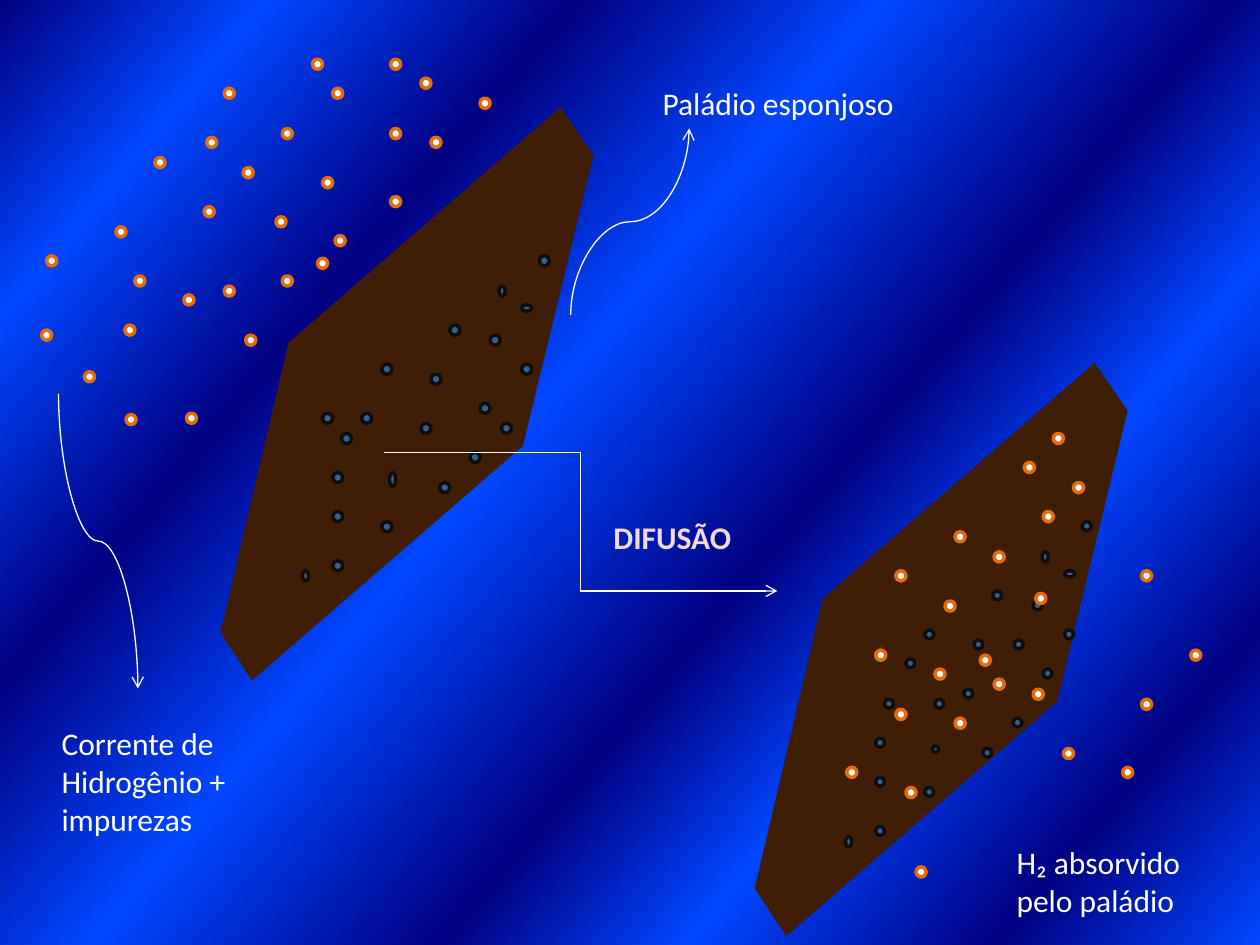
from pptx import Presentation
from pptx.dml.color import RGBColor
from pptx.enum.shapes import MSO_CONNECTOR, MSO_SHAPE
from pptx.oxml import parse_xml
from pptx.oxml.ns import nsdecls, qn
from pptx.util import Inches, Pt
from lxml.etree import SubElement


def rgb(code):
    return RGBColor.from_string(code)


def add_label(text, left, top, width, height, color="FFFFFF", bold=False):
    frame = slide.shapes.add_textbox(left * col, top * row, width * col, height * row).text_frame
    frame.word_wrap = True
    frame.text = text
    for paragraph in frame.paragraphs:
        font = paragraph.runs[0].font
        font.name, font.size, font.bold = "Calibri", Pt(18), bold
        font.color.rgb = rgb(color)


prs = Presentation()
prs.slide_width, prs.slide_height = Inches(10), Inches(7.5)
col, row = prs.slide_width // 1000, prs.slide_height // 750
slide = prs.slides.add_slide(prs.slide_layouts[6])

stops = "".join(
    f'<a:gs pos="{share * 1000}"><a:srgbClr val="{("000082", "0047FF")[i % 2]}"/></a:gs>'
    for i, share in enumerate([0, 13, 28, 43, 60, 72, 87, 100])
)
slide.element.cSld.insert(0, parse_xml(
    f'<p:bg {nsdecls("p", "a")}><p:bgPr><a:gradFill rotWithShape="1"><a:gsLst>{stops}</a:gsLst>'
    '<a:lin ang="2400000" scaled="0"/></a:gradFill><a:effectLst/></p:bgPr></p:bg>'
))

slab_outline = [(445, 85), (471, 123), (415, 354), (200, 540), (175, 502), (229, 272)]

shared_pores = [
    (342, 297, 8, 8), (389, 266, 8, 8), (414, 242, 8, 5), (303, 289, 8, 8), (357, 258, 8, 8),
    (396, 227, 5, 8), (428, 203, 8, 8), (334, 336, 8, 8), (303, 414, 8, 8), (240, 453, 5, 8),
    (414, 289, 8, 8), (264, 375, 8, 8), (349, 383, 8, 8), (373, 359, 8, 8), (264, 445, 8, 8),
    (264, 406, 8, 8), (271, 344, 8, 8),
]
stream_pores = [(256, 328, 8, 8), (287, 328, 8, 8), (309, 375, 5, 11), (381, 320, 8, 8), (398, 336, 8, 8)]
absorbed_pores = [(719, 523, 7, 7), (742, 555, 7, 7), (740, 592, 5, 5), (805, 508, 7, 7), (828, 531, 7, 7)]

stream_hydrogen = [
    (99, 258), (342, 109), (148, 328), (193, 133), (178, 227), (178, 70), (310, 156), (310, 47),
    (92, 180), (256, 141), (219, 172), (33, 262), (264, 70), (310, 102), (224, 102), (37, 203),
    (162, 164), (67, 295), (224, 219), (107, 219), (248, 47), (266, 187), (334, 62), (100, 329),
    (146, 234), (195, 266), (164, 109), (123, 125), (381, 78), (252, 205),
]
absorbed_hydrogen = [
    (945, 516), (727, 688), (906, 555), (906, 453), (891, 609), (844, 594),
    (711, 563), (711, 453), (789, 438), (852, 383), (789, 539), (758, 570), (822, 471), (828, 406),
    (750, 477), (758, 422), (813, 367), (836, 344), (695, 516), (672, 609), (778, 520), (820, 547),
    (742, 531), (719, 625),
]

stages = [
    ((0, 0), (0, 0), 8, stream_pores, stream_hydrogen),
    ((424, 203), (431, 211), 7, absorbed_pores, absorbed_hydrogen),
]
for (slab_x, slab_y), (pore_x, pore_y), pore_size, own_pores, hydrogen in stages:
    corners = [((x + slab_x) * col, (y + slab_y) * row) for x, y in slab_outline]
    builder = slide.shapes.build_freeform(*corners[0])
    builder.add_line_segments(corners[1:])
    slab = builder.convert_to_shape()
    slab.shadow.inherit = False
    slab.fill.solid()
    slab.fill.fore_color.rgb = rgb("3F1E05")
    slab.line.fill.background()

    pores = [
        (x + pore_x, y + pore_y, pore_size if w == h else w, pore_size if w == h else h)
        for x, y, w, h in shared_pores
    ] + own_pores
    particles = [(*pore, "376092", "0D0D0D") for pore in pores]
    particles += [(x, y, 8, 8, "FFFFFF", "E46C0A") for x, y in hydrogen]
    for x, y, w, h, core, ring in particles:
        particle = slide.shapes.add_shape(MSO_SHAPE.OVAL, x * col, y * row, w * col, h * row)
        particle.shadow.inherit = False
        particle.fill.solid()
        particle.fill.fore_color.rgb = rgb(core)
        particle.line.color.rgb = rgb(ring)
        particle.line.width = Pt(2)

arrows = [
    (MSO_CONNECTOR.CURVE, 574, 223, 426, 129, 90),
    (MSO_CONNECTOR.CURVE, 195, 398, -39, 461, 270),
    (MSO_CONNECTOR.ELBOW, 305, 359, 617, 469, 0),
]
for kind, x1, y1, x2, y2, turn in arrows:
    arrow = slide.shapes.add_connector(kind, x1 * col, y1 * row, x2 * col, y2 * row)
    arrow.line.color.rgb = rgb("FFFFFF")
    arrow.line.width = Pt(0.75)
    properties = arrow.element.spPr
    properties.find(qn("a:xfrm")).set("rot", str(turn * 60000))
    SubElement(properties.find(qn("a:ln")), qn("a:tailEnd"), type="arrow")
    SubElement(properties, qn("a:effectLst"))

add_label("Paládio esponjoso", 516, 62, 211, 40)
add_label("Corrente de Hidrogênio +\nimpurezas", 39, 570, 156, 101)
add_label("DIFUSÃO", 477, 406, 148, 40, color="F3D9D8", bold=True)
add_label("H₂ absorvido pelo paládio", 797, 664, 180, 71)

prs.save("out.pptx")
